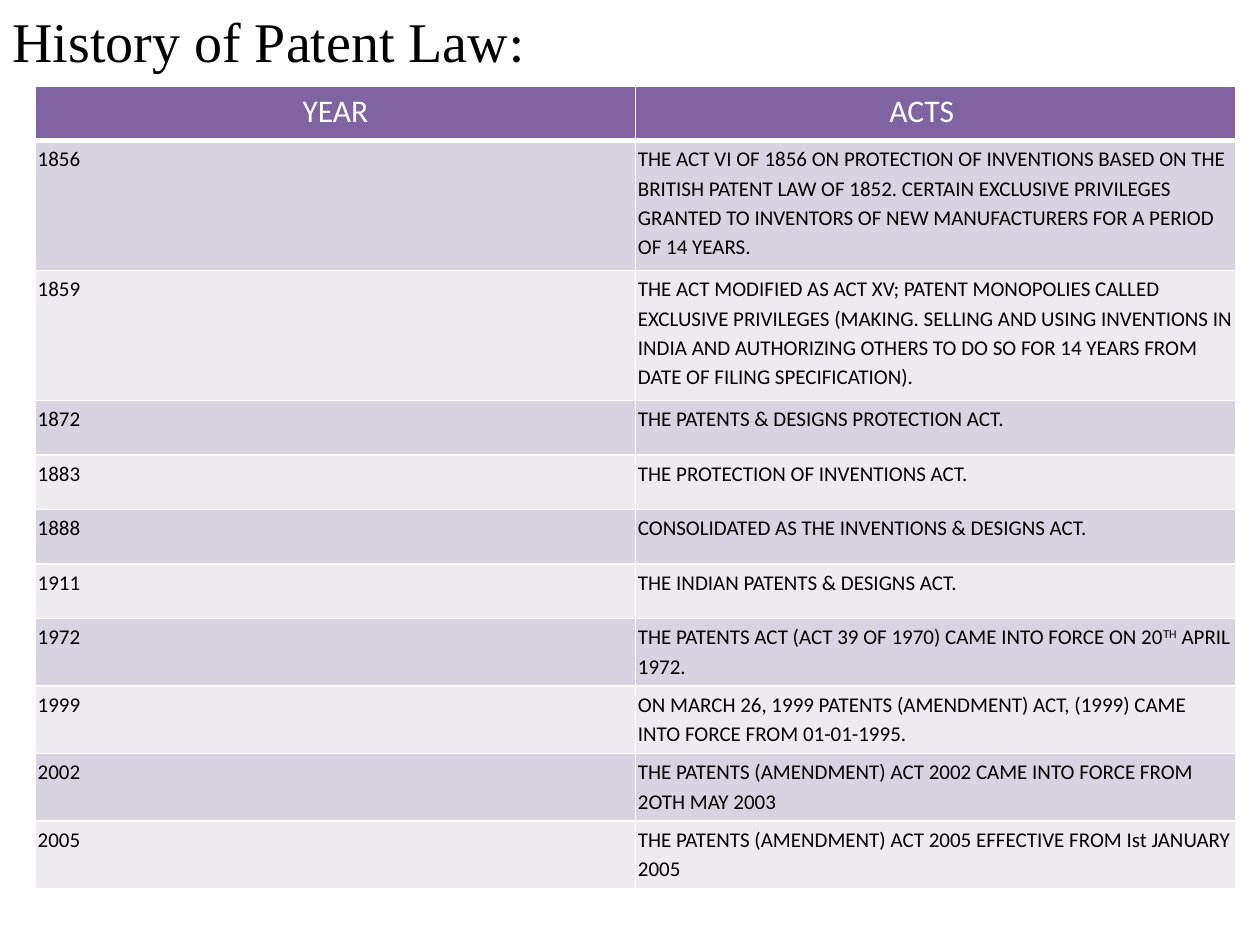
from dataclasses import dataclass

from lxml.etree import SubElement
from pptx import Presentation
from pptx.dml.color import RGBColor as Rgb
from pptx.enum.text import PP_ALIGN as Align
from pptx.oxml.ns import qn
from pptx.util import Cm, Pt


@dataclass(frozen=True)
class Theme:
    """Colours, fonts and type sizes."""
    head: str = "8064A2"
    bands: tuple = ("D8D3E0", "EDEAF0")
    rule: str = "FFFFFF"
    light: str = "FFFFFF"
    ink: str = "000000"
    serif: str = "Times New Roman"
    sans: str = "Calibri"
    title: int = 32
    label: int = 18
    body: int = 12


@dataclass(frozen=True)
class Act:
    """One table row; act alternates plain and raised text."""
    year: str
    act: tuple
    high: float = 1.1
    gaps: tuple = (10, 0)


LOOK = Theme()
TALL, PAIR = 2.62, 1.36
LATE = (0, 10)
ACTS = (
    Act("1856", ("THE ACT VI OF 1856 ON PROTECTION OF INVENTIONS BASED ON THE "
                 "BRITISH PATENT LAW OF 1852. CERTAIN EXCLUSIVE PRIVILEGES "
                 "GRANTED TO INVENTORS OF NEW MANUFACTURERS FOR A PERIOD "
                 "OF 14 YEARS.",), TALL),
    Act("1859", ("THE ACT MODIFIED AS ACT XV; PATENT MONOPOLIES CALLED "
                 "EXCLUSIVE PRIVILEGES (MAKING. SELLING AND USING INVENTIONS "
                 "IN INDIA AND AUTHORIZING OTHERS TO DO SO FOR 14 YEARS FROM "
                 "DATE OF FILING SPECIFICATION).",), TALL),
    Act("1872", ("THE PATENTS & DESIGNS PROTECTION ACT.",)),
    Act("1883", ("THE PROTECTION OF INVENTIONS ACT.",)),
    Act("1888", ("CONSOLIDATED AS THE INVENTIONS & DESIGNS ACT.",)),
    Act("1911", ("THE INDIAN PATENTS & DESIGNS ACT.",)),
    Act("1972", ("THE PATENTS ACT (ACT 39 OF 1970) CAME INTO FORCE ON 20",
                 "TH", "\u00a0APRIL 1972."), PAIR),
    Act("1999", ("ON MARCH 26, 1999 PATENTS (AMENDMENT) ACT, (1999) CAME "
                 "INTO FORCE FROM 01-01-1995.",), PAIR),
    Act("2002", ("THE PATENTS (AMENDMENT) ACT 2002 CAME INTO FORCE FROM "
                 "2OTH MAY 2003",), PAIR, LATE),
    Act("2005", ("THE PATENTS (AMENDMENT) ACT 2005 EFFECTIVE FROM Ist JANUARY "
                 "2005",), PAIR, LATE),
)


def style(font, face: str, size: int, tint: str) -> None:
    """Set face, size and colour of a font."""
    font.name, font.size, font.bold = face, Pt(size), False
    font.color.rgb = Rgb.from_string(tint)


def paint(cell, tint: str, base: int = 1) -> None:
    """Rule and fill a cell; base is the width of its bottom rule."""
    props = cell._tc.get_or_add_tcPr()
    for side in "LRTB":
        line = SubElement(props, qn(f"a:ln{side}"))
        line.set("w", str(Pt(base if side == "B" else 1)))
        fill = SubElement(line, qn("a:solidFill"))
        SubElement(fill, qn("a:srgbClr")).set("val", LOOK.rule)
    cell.fill.solid()
    cell.fill.fore_color.rgb = Rgb.from_string(tint)


def label(cell, text: str, right: float) -> None:
    """Write a centred column heading."""
    paint(cell, LOOK.head, 3)
    cell.margin_right = Cm(right)
    para = cell.text_frame.paragraphs[0]
    para.text, para.alignment = text, Align.CENTER
    style(para.font, LOOK.sans, LOOK.label, LOOK.light)


def write(cell, parts: tuple, gap: int, tint: str) -> None:
    """Write a body cell, raising every second part."""
    paint(cell, tint)
    cell.margin_left = cell.margin_right = Cm(0.05)
    cell.margin_top = cell.margin_bottom = Cm(0.05)
    para = cell.text_frame.paragraphs[0]
    para.line_spacing, para.space_after = 1.15, Pt(gap)
    style(para.font, LOOK.sans, LOOK.body, LOOK.ink)
    for i, part in enumerate(parts):
        run = para.add_run()
        run.text = part
        if i % 2:
            run._r.get_or_add_rPr().set("baseline", "30000")


def title(slide) -> None:
    """Add the heading with its colon in the sans face."""
    frame = slide.shapes.add_textbox(0, 0, Cm(25.4), Cm(19.05)).text_frame
    frame.word_wrap = True
    para = frame.paragraphs[0]
    para.space_before = Pt(3)
    for text, face in (("History of Patent Law", LOOK.serif), (":", LOOK.sans)):
        run = para.add_run()
        run.text = text
        style(run.font, face, LOOK.title, LOOK.ink)


def grid(slide) -> None:
    """Add the table of years and acts."""
    high = 1.1 + sum(act.high for act in ACTS)
    table = slide.shapes.add_table(len(ACTS) + 1, 2, Cm(0.71), Cm(1.73),
                                   Cm(24.2), Cm(high)).table
    table.rows[0].height = Cm(1.1)
    for col, (text, right) in enumerate((("YEAR", 0.25), ("ACTS", 0.81))):
        table.columns[col].width = Cm(12.1)
        label(table.cell(0, col), text, right)
    for row, act in enumerate(ACTS, 1):
        table.rows[row].height = Cm(act.high)
        tint = LOOK.bands[(row - 1) % 2]
        for col, parts in enumerate(((act.year,), act.act)):
            write(table.cell(row, col), parts, act.gaps[col], tint)


def main() -> None:
    """Build and save the slide."""
    deck = Presentation()
    deck.slide_width, deck.slide_height = Cm(25.4), Cm(19.05)
    slide = deck.slides.add_slide(deck.slide_layouts[6])
    title(slide)
    grid(slide)
    deck.save("out.pptx")


main()
